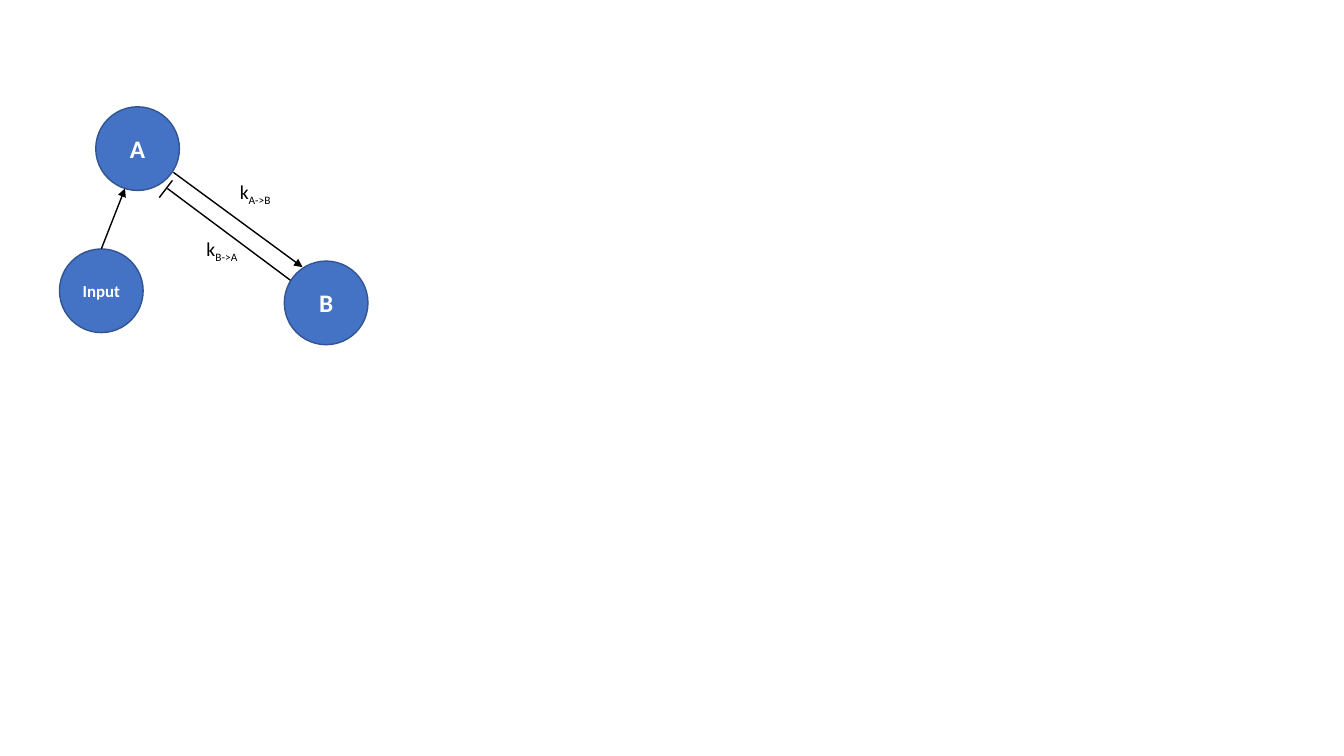
from lxml import etree
from pptx import Presentation
from pptx.dml.color import RGBColor
from pptx.enum.shapes import MSO_CONNECTOR, MSO_SHAPE
from pptx.enum.text import MSO_ANCHOR, MSO_AUTO_SIZE, PP_ALIGN
from pptx.oxml.ns import qn
from pptx.util import Inches, Pt

FONT = "Calibri"
NODE_SIZE = 0.83
LABEL_SIZE = (0.54, 0.34)
TOP_SITE = 0

# name, left, top, text size
NODES = [("A", 0.95, 1.06, 18), ("B", 2.82, 2.59, 18), ("Input", 0.59, 2.47, 12)]
# start, end, arrowhead, node joined at the start
EDGES = [
    ((1.72, 1.71), (3, 2.65), True, None),
    ((2.88, 2.78), (1.66, 1.87), False, None),
    ((1.01, 2.47), (1.24, 1.87), True, "Input"),
    ((1.71, 1.79), (1.58, 1.96), False, None),  # inhibition bar
]
# symbol, subscript, left, top
RATES = [("k", "A->B", 2.28, 1.74), ("k", "B->A", 1.95, 2.3)]


def color(hex_value):
    return RGBColor.from_string(hex_value)


def set_format(target, values):
    for name, value in values.items():
        setattr(target, name, value)


def add_run(paragraph, text, size, hex_value, bold=False):
    run = paragraph.add_run()
    run.text = text
    set_format(run.font, {"name": FONT, "size": Pt(size), "bold": bold})
    run.font.color.rgb = color(hex_value)
    return run


def add_node(slide, name, left, top, size):
    shape = slide.shapes.add_shape(
        MSO_SHAPE.OVAL, *map(Inches, (left, top, NODE_SIZE, NODE_SIZE)))
    shape.shadow.inherit = False
    shape.fill.solid()
    shape.fill.fore_color.rgb = color("4472C4")
    shape.line.color.rgb = color("325491")
    shape.line.width = Pt(1)
    set_format(shape.text_frame, {
        "vertical_anchor": MSO_ANCHOR.MIDDLE, "word_wrap": True,
        "margin_left": 0, "margin_right": 0, "margin_top": 0, "margin_bottom": 0})
    paragraph = shape.text_frame.paragraphs[0]
    paragraph.alignment = PP_ALIGN.CENTER
    add_run(paragraph, name, size, "FFFFFF", bold=True)
    return shape


def add_edge(slide, start, end, arrow, start_node):
    connector = slide.shapes.add_connector(
        MSO_CONNECTOR.STRAIGHT, *map(Inches, (*start, *end)))
    connector.line.color.rgb = color("000000")
    connector.line.width = Pt(1)
    if arrow:
        line = connector.line._get_or_add_ln()
        etree.SubElement(line, qn("a:tailEnd"), type="triangle")
    etree.SubElement(connector._element.spPr, qn("a:effectLst"))
    if start_node is not None:
        connector.begin_connect(start_node, TOP_SITE)


def add_rate(slide, symbol, subscript, left, top):
    box = slide.shapes.add_textbox(*map(Inches, (left, top, *LABEL_SIZE)))
    set_format(box.text_frame, {
        "word_wrap": False, "auto_size": MSO_AUTO_SIZE.SHAPE_TO_FIT_TEXT})
    paragraph = box.text_frame.paragraphs[0]
    add_run(paragraph, symbol, 14, "000000")
    run = add_run(paragraph, subscript, 14, "000000")
    run.font._element.set("baseline", "-25000")


def main():
    presentation = Presentation()
    set_format(presentation, {
        "slide_width": Inches(13.33), "slide_height": Inches(7.5)})
    slide = presentation.slides.add_slide(presentation.slide_layouts[6])
    nodes = {node[0]: add_node(slide, *node) for node in NODES}
    for start, end, arrow, joined in EDGES:
        add_edge(slide, start, end, arrow, nodes.get(joined))
    for rate in RATES:
        add_rate(slide, *rate)
    presentation.save("out.pptx")


if __name__ == "__main__":
    main()
